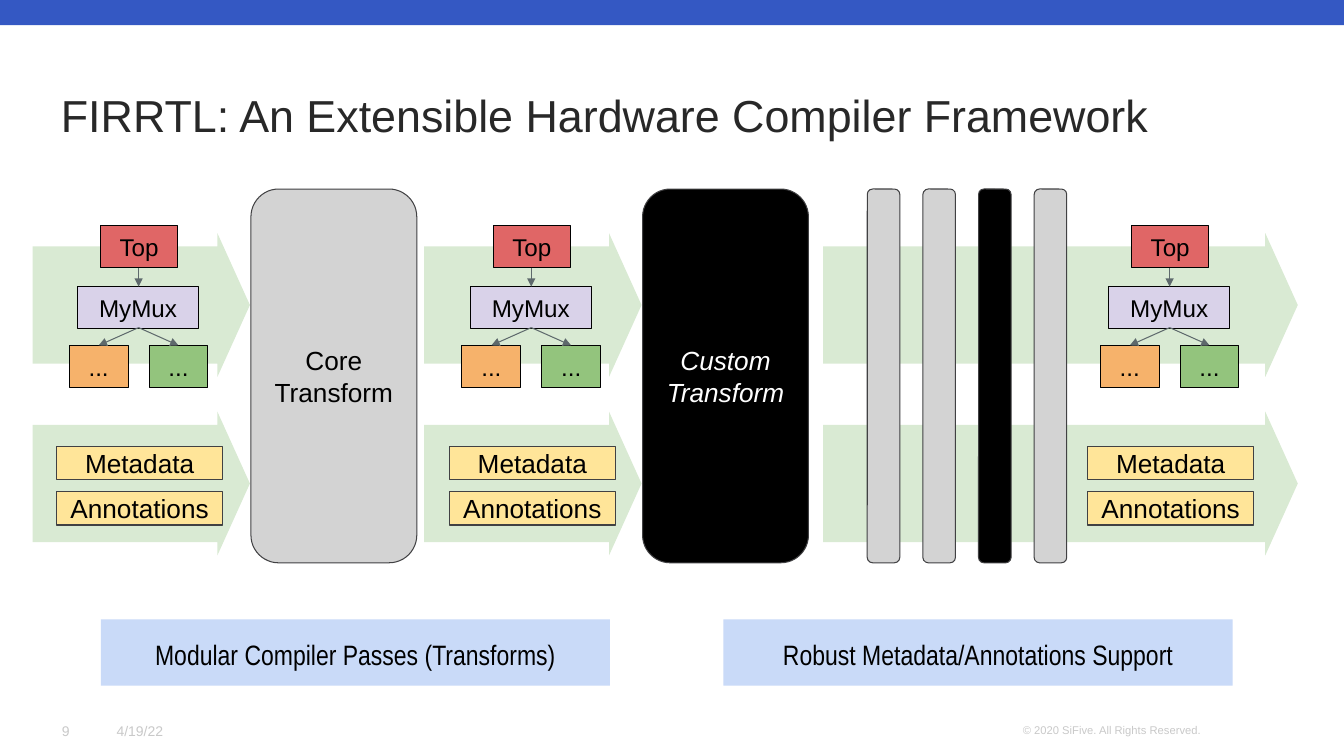
from lxml.etree import SubElement as Sub
from pptx import Presentation
from pptx.dml.color import RGBColor as Rgb
from pptx.enum.shapes import MSO_CONNECTOR as Conn, MSO_SHAPE as Kind
from pptx.enum.text import MSO_ANCHOR as Anchor, PP_ALIGN as Align
from pptx.oxml.ns import qn
from pptx.util import Pt

PX = 9525
HUES = {
    "bar": "3458C3", "ink": "282828", "faint": "C9C9C9", "flow": "D9EAD3",
    "grey": "D3D3D3", "edge": "414143", "black": "000000", "white": "FFFFFF",
    "top": "E06666", "mux": "D9D2E9", "left": "F6B26B", "right": "93C47D",
    "link": "5E696C", "note": "FFE599", "claim": "C9DAF8",
}


def hue(name):
    """Return the colour with the given name."""
    return Rgb.from_string(HUES[name])


def write(shape, text, size, ink="black", font="Arial", align=Align.CENTER,
          anchor=Anchor.MIDDLE, pad=(12, 12, 12, 12), italic=None, lead=None, after=None):
    """Fill a shape with text, one paragraph per line."""
    frame = shape.text_frame
    frame.word_wrap = True
    frame.vertical_anchor = anchor
    (frame.margin_left, frame.margin_top,
     frame.margin_right, frame.margin_bottom) = [side * PX for side in pad]
    frame.text = text
    for para in frame.paragraphs:
        para.alignment = align
        para.line_spacing = lead
        if after:
            para.space_after = Pt(after)
        para.font.name = font
        para.font.size = Pt(size)
        para.font.italic = italic
        para.font.color.rgb = hue(ink)


def block(slide, kind, box, fill, edge=None, adj=()):
    """Add a flat preset shape, outlined only if an edge is named."""
    shape = slide.shapes.add_shape(kind, *[n * PX for n in box])
    shape.shadow.inherit = False
    shape.fill.solid()
    shape.fill.fore_color.rgb = hue(fill)
    if edge:
        shape.line.color.rgb = hue(edge)
        shape.line.width = Pt(0.75)
    else:
        shape.line.fill.background()
    for i, value in enumerate(adj):
        shape.adjustments[i] = value
    return shape


def label(slide, box, text, size, ink, align=Align.LEFT, pad=(10, 5, 10, 5), **style):
    """Add a plain text box."""
    shape = slide.shapes.add_textbox(*[n * PX for n in box])
    write(shape, text, size, ink, align=align, pad=pad, **style)


def link(slide, start, end):
    """Draw a thin arrow between two points."""
    line = slide.shapes.add_connector(Conn.STRAIGHT, *[n * PX for n in start + end])
    line.line.color.rgb = hue("link")
    line.line.width = Pt(0.75)
    Sub(line.line._get_or_add_ln(), qn("a:tailEnd"), type="triangle")
    Sub(line._element.spPr, qn("a:effectLst"))


def page(slide):
    """Place the top bar, title and footer."""
    block(slide, Kind.RECTANGLE, (0, 0, 1280, 24), "bar")
    label(slide, (851, 684, 312, 23), "© 2020 SiFive. All Rights Reserved.", 8, "faint",
          Align.RIGHT, (0, 5, 19, 5), anchor=Anchor.TOP)
    label(slide, (48, 48, 1184, 128), "FIRRTL: An Extensible Hardware Compiler Framework",
          32, "ink", lead=0.9)
    label(slide, (101, 672, 72, 48), "4/19/22", 10, "faint")
    label(slide, (49, 672, 48, 48), "9", 10, "faint")


def flow(slide, x, y, wide):
    """Place the two wide arrows, one above the other."""
    for drop in (0, 170):
        block(slide, Kind.RIGHT_ARROW, (x, y + drop, wide, 137), "flow", adj=(0.814, 0.226))


def tree(slide, x, y):
    """Place the circuit tree with its links."""
    nodes = [("Top", 30, 0, 73, "top"), ("MyMux", 8, 58, 115, "mux"),
             ("...", 0, 114, 56, "left"), ("...", 76, 114, 56, "right")]
    for text, dx, dy, wide, fill in nodes:
        node = block(slide, Kind.RECTANGLE, (x + dx, y + dy, wide, 40), fill, "black")
        write(node, text, 17.3)
    mid = x + 66
    link(slide, (mid, y + 40), (mid, y + 58))
    for side in (-38, 38):
        link(slide, (mid, y + 97), (mid + side, y + 114))


def notes(slide, x, y):
    """Place the metadata and annotation tags."""
    for i, text in enumerate(("Metadata", "Annotations")):
        tag = block(slide, Kind.RECTANGLE, (x, y + 43 * i, 158, 32), "note", "edge")
        write(tag, text, 18.7)


def stage(slide, x, y):
    """Place one program state: its tree and its tags."""
    tree(slide, x, y)
    notes(slide, x - 12, y + 210)


def step(slide, x, y, wide, fill):
    """Place one rounded transform block."""
    return block(slide, Kind.ROUNDED_RECTANGLE, (x, y, wide, 356), fill, "edge", (0.167,))


def passes(slide, x, y):
    """Place the row of slim transform bars."""
    for i, fill in enumerate(("grey", "grey", "black", "grey")):
        step(slide, x + 53 * i, y, 31, fill)


def claim(slide, x, y, text):
    """Place one caption panel."""
    panel = block(slide, Kind.RECTANGLE, (x, y, 485, 63), "claim")
    write(panel, text, 20, font="Arial Narrow", anchor=Anchor.TOP, lead=1.15, after=21.3)


def main():
    """Build the slide and save it."""
    deck = Presentation()
    deck.slide_width, deck.slide_height = 1280 * PX, 720 * PX
    slide = deck.slides.add_slide(deck.slide_layouts[6])
    page(slide)
    for x, wide in ((31, 207), (404, 207), (784, 452)):
        flow(slide, x, 222, wide)
    write(step(slide, 239, 180, 158, "grey"), "Core\nTransform", 18.7)
    write(step(slide, 612, 180, 158, "black"), "Custom\nTransform", 18.7, "white", italic=True)
    passes(slide, 826, 180)
    for x in (66, 440, 1048):
        stage(slide, x, 215)
    claim(slide, 96, 590, "Modular Compiler Passes (Transforms)")
    claim(slide, 689, 590, "Robust Metadata/Annotations Support")
    deck.save("out.pptx")


if __name__ == "__main__":
    main()
